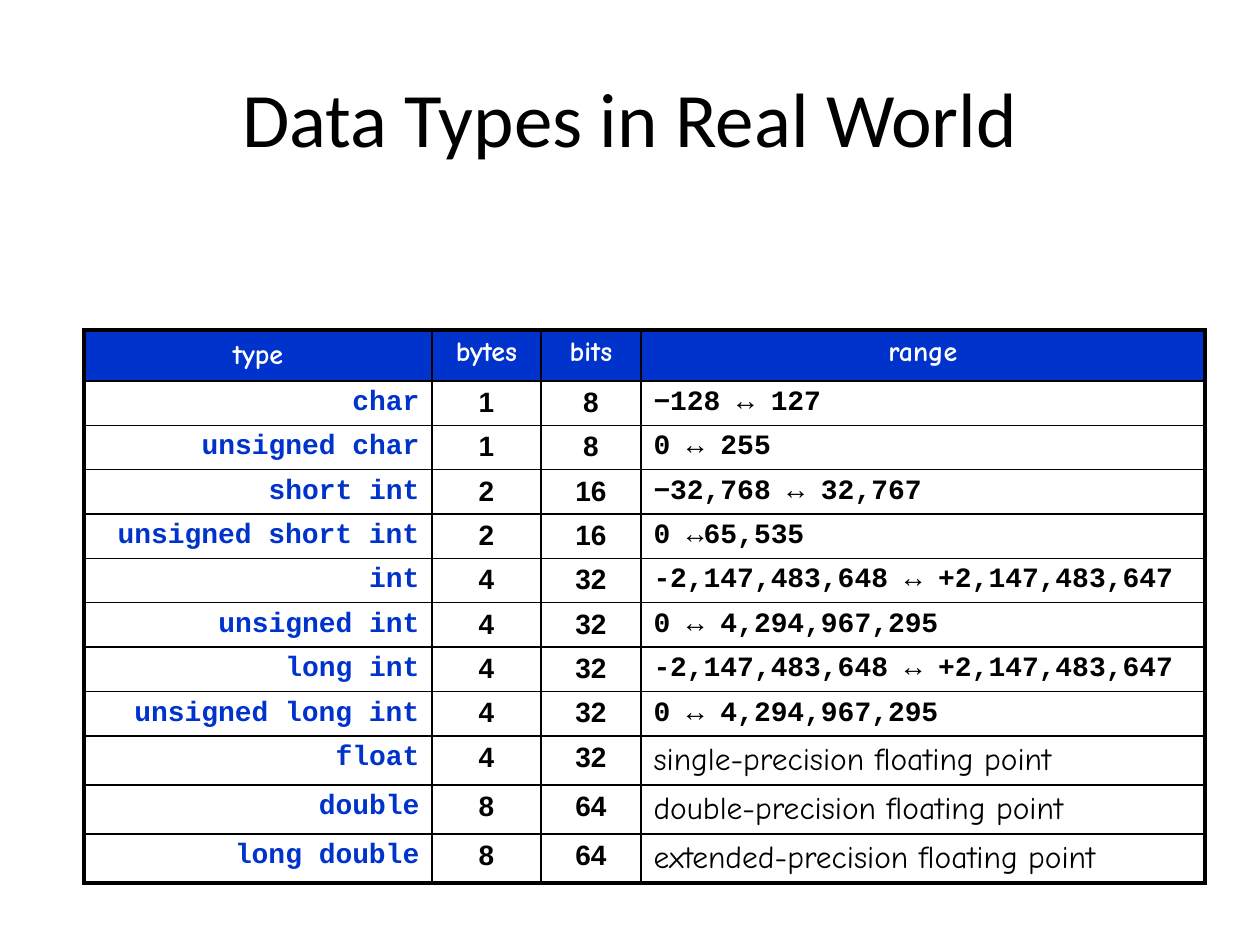
from lxml import etree
from pptx import Presentation
from pptx.dml.color import RGBColor
from pptx.enum.text import MSO_ANCHOR, PP_ALIGN
from pptx.oxml.ns import qn
from pptx.util import Emu, Pt

LEFT, CENTER, RIGHT = PP_ALIGN.LEFT, PP_ALIGN.CENTER, PP_ALIGN.RIGHT
TOP, MIDDLE = MSO_ANCHOR.TOP, MSO_ANCHOR.MIDDLE

PX_PER_INCH = 126
BLACK, WHITE, BLUE = "000000", "FFFFFF", "0033CC"
THIN, THICK = 1, 2.25

TITLE_BOX = (63, 38, 1134, 157)
TABLE_BOX = (84, 330, 1121, 550)
COLUMN_WIDTHS = (348, 109, 100, 564)
HEADER_HEIGHT, INTEGER_HEIGHT, FLOAT_HEIGHT = 51, 44, 49

HEADERS = ("type", "bytes", "bits", "range")
INTEGER_TYPES = [
    ("char", 1, "−128 ↔ 127"),
    ("unsigned char", 1, "0 ↔ 255"),
    ("short int", 2, "−32,768 ↔ 32,767"),
    ("unsigned short int", 2, "0 ↔65,535"),
    ("int", 4, "-2,147,483,648 ↔ +2,147,483,647"),
    ("unsigned int", 4, "0 ↔ 4,294,967,295"),
    ("long int", 4, "-2,147,483,648 ↔ +2,147,483,647"),
    ("unsigned long int", 4, "0 ↔ 4,294,967,295"),
]
FLOAT_TYPES = [
    ("float", 4, "single-precision floating point"),
    ("double", 8, "double-precision floating point"),
    ("long double", 8, "extended-precision floating point"),
]

TITLE_FORMAT = {"name": "Calibri", "size": Pt(44), "bold": False}
HEADER_FORMAT = {"name": "Comic Neue", "size": Pt(16), "bold": True}
CODE_FORMAT = {"name": "Courier New", "size": Pt(16), "bold": True}
NUMBER_FORMAT = {"name": "Arial", "size": Pt(16), "bold": True}
NOTE_FORMAT = {"name": "Comic Neue", "size": Pt(18), "bold": False}


def px(length):
    return Emu(round(length * 914400 / PX_PER_INCH))


def color(hex_value):
    return RGBColor.from_string(hex_value)


def write_text(text_frame, text, font_format, hex_value, alignment):
    text_frame.text = text
    paragraph = text_frame.paragraphs[0]
    paragraph.alignment = alignment
    font = paragraph.runs[0].font
    for attribute, value in font_format.items():
        setattr(font, attribute, value)
    font.color.rgb = color(hex_value)


def set_borders(cell, widths):
    """Draw black borders; widths maps the sides L, R, T, B to points."""
    properties = cell._tc.get_or_add_tcPr()
    for side, width in widths.items():
        line = etree.SubElement(properties, qn(f"a:ln{side}"), w=str(Pt(width)))
        fill = etree.SubElement(line, qn("a:solidFill"))
        etree.SubElement(fill, qn("a:srgbClr"), val=BLACK)


def add_title(slide, box):
    title = slide.shapes.title
    title.left, title.top, title.width, title.height = map(px, box)
    title.text_frame.vertical_anchor = MIDDLE
    write_text(title.text_frame, "Data Types in Real World", TITLE_FORMAT, BLACK, CENTER)


def add_types_table(slide, box):
    types = INTEGER_TYPES + FLOAT_TYPES
    rows = [HEADERS] + [
        (name, str(size), str(size * 8), value_range) for name, size, value_range in types
    ]
    heights = (
        [HEADER_HEIGHT]
        + [INTEGER_HEIGHT] * len(INTEGER_TYPES)
        + [FLOAT_HEIGHT] * len(FLOAT_TYPES)
    )
    last_row, last_column = len(rows) - 1, len(HEADERS) - 1
    table = slide.shapes.add_table(len(rows), len(HEADERS), *map(px, box)).table
    table.first_row = table.horz_banding = False
    for column, width in zip(table.columns, COLUMN_WIDTHS):
        column.width = px(width)

    number_style = (NUMBER_FORMAT, BLACK, CENTER)
    code_style = (CODE_FORMAT, BLACK, LEFT)
    note_style = (NOTE_FORMAT, BLACK, LEFT)
    header_styles = [(HEADER_FORMAT, WHITE, CENTER)] * len(HEADERS)
    type_styles = [(CODE_FORMAT, BLUE, RIGHT), number_style, number_style]

    for row_index, (texts, height) in enumerate(zip(rows, heights)):
        table.rows[row_index].height = px(height)
        if row_index == 0:
            styles = header_styles
        elif row_index <= len(INTEGER_TYPES):
            styles = type_styles + [code_style]
        else:
            styles = type_styles + [note_style]
        for column_index, (text, style) in enumerate(zip(texts, styles)):
            cell = table.cell(row_index, column_index)
            set_borders(cell, {
                "L": THICK if column_index == 0 else THIN,
                "R": THICK if column_index == last_column else THIN,
                "T": THICK if row_index == 0 else THIN,
                "B": THICK if row_index == last_row else THIN,
            })
            cell.fill.solid()
            cell.fill.fore_color.rgb = color(BLUE if row_index == 0 else WHITE)
            cell.vertical_anchor = MIDDLE if column_index == 0 and row_index < 2 else TOP
            write_text(cell.text_frame, text, *style)


def main():
    presentation = Presentation()
    presentation.slide_width, presentation.slide_height = px(1260), px(945)
    slide = presentation.slides.add_slide(presentation.slide_layouts[5])
    add_title(slide, TITLE_BOX)
    add_types_table(slide, TABLE_BOX)
    presentation.save("out.pptx")


if __name__ == "__main__":
    main()
